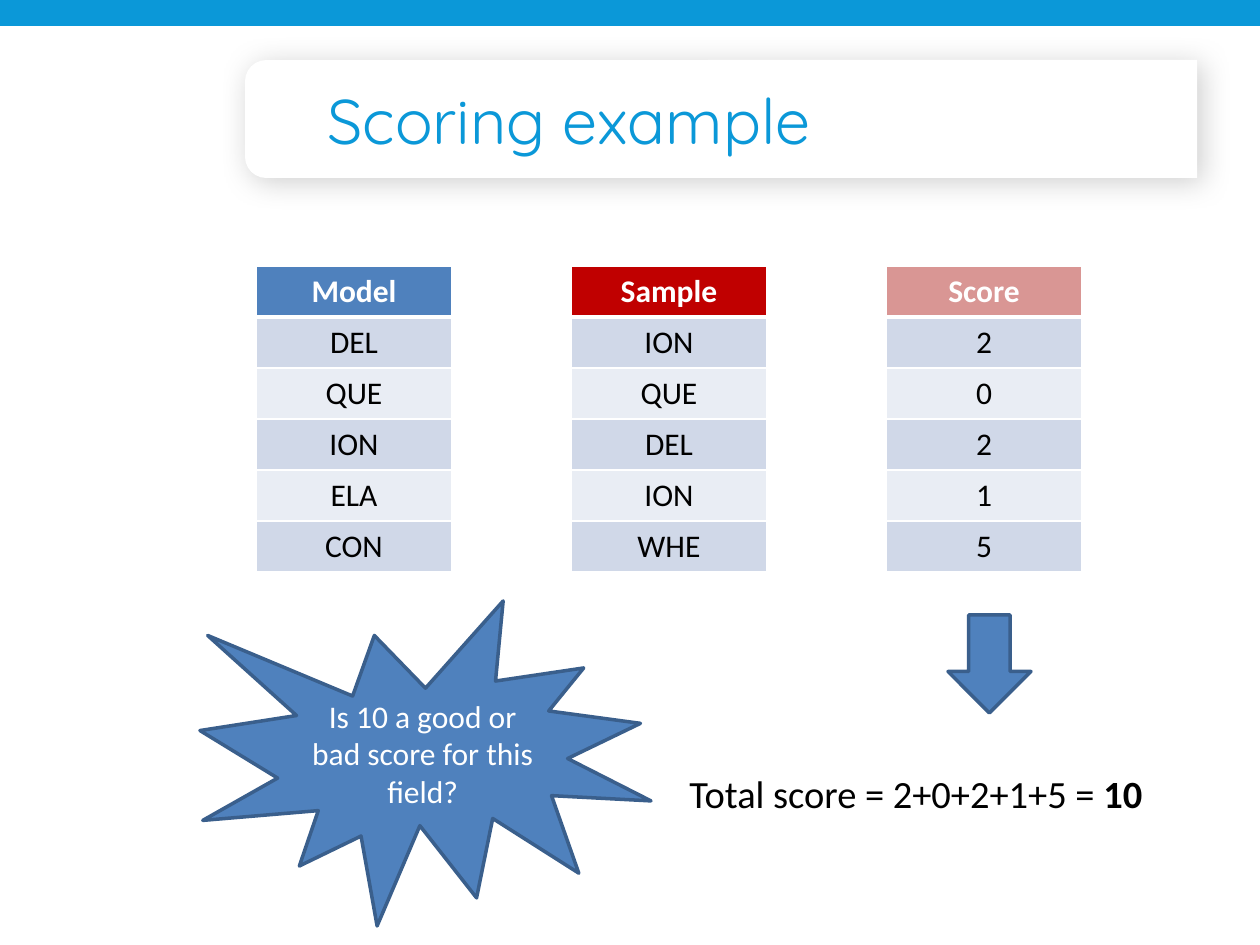
from lxml import etree
from pptx import Presentation, util as u
from pptx.dml.color import RGBColor
from pptx.enum import shapes, text
from pptx.oxml.ns import qn

SCALE = 914400 / 126
WHITE, BLACK = "FFFFFF", "000000"
SKY, BLUE, EDGE = "0B98D8", "4F81BD", "3A5F8C"
BANDS = ("D0D8E8", "E9EDF4")
ROW, COL, GAP = 51, 196, 315
LISTS = [
    ("Model", BLUE, ["DEL", "QUE", "ION", "ELA", "CON"]),
    ("Sample", "C00000", ["ION", "QUE", "DEL", "ION", "WHE"]),
    ("Score", "D99694", ["2", "0", "2", "1", "5"]),
]
KIND = shapes.MSO_SHAPE
CENTER = text.PP_ALIGN.CENTER
MIDDLE = text.MSO_ANCHOR.MIDDLE


def px(*vals):
    return [u.Emu(round(v * SCALE)) for v in vals]


def paint(fill, color):
    fill.solid()
    fill.fore_color.rgb = RGBColor.from_string(color)


def style(para, size, color, bold=False, face="Calibri", align=None):
    para.alignment = align
    for run in para.runs:
        font = run.font
        font.name, font.size, font.bold = face, u.Pt(size), bold
        font.color.rgb = RGBColor.from_string(color)


def add_shape(slide, kind, box, fill, line=None):
    shape = slide.shapes.add_shape(kind, *px(*box))
    shape.shadow.inherit = False
    paint(shape.fill, fill)
    if line:
        paint(shape.line.fill, line)
        shape.line.width = u.Pt(2)
    else:
        shape.line.fill.background()
    return shape


def add_text(slide, box, wrap=True):
    frame = slide.shapes.add_textbox(*px(*box)).text_frame
    frame.word_wrap = wrap
    frame.vertical_anchor = MIDDLE
    return frame


def add_glow(shape):
    """Give the shape a soft outer shadow."""
    effects = shape._element.spPr.find(qn("a:effectLst"))
    shadow = etree.SubElement(
        effects, qn("a:outerShdw"), blurRad=str(u.Pt(17)),
        dist=str(u.Pt(3)), dir=str(45 * 60000), algn="tl", rotWithShape="0")
    color = etree.SubElement(shadow, qn("a:srgbClr"), val=BLACK)
    etree.SubElement(color, qn("a:alpha"), val="19000")


def add_edges(cell, base):
    """Draw white borders, with the bottom one base points wide."""
    props = cell._tc.get_or_add_tcPr()
    for side, width in (("L", 1), ("R", 1), ("T", 1), ("B", base)):
        line = etree.SubElement(props, qn("a:ln" + side), w=str(u.Pt(width)))
        fill = etree.SubElement(line, qn("a:solidFill"))
        etree.SubElement(fill, qn("a:srgbClr"), val=WHITE)


def add_list(slide, left, head, tint, items):
    """Add a table of one column with a tinted head."""
    rows = [head] + items
    box = px(left, 266, COL, ROW * len(rows))
    table = slide.shapes.add_table(len(rows), 1, *box).table
    for i, word in enumerate(rows):
        top = i == 0
        cell = table.cell(i, 0)
        cell.text_frame.text = word
        style(cell.text_frame.paragraphs[0], 18, WHITE if top else BLACK,
              top, align=CENTER)
        add_edges(cell, 3 if top else 1)
        paint(cell.fill, tint if top else BANDS[(i - 1) % 2])


def add_title(slide):
    banner = add_shape(slide, KIND.ROUND_2_SAME_RECTANGLE,
                       (662, -357, 118, 952), WHITE)
    banner.rotation = 270
    banner.adjustments[0] = 0.18
    add_glow(banner)
    add_shape(slide, KIND.RECTANGLE, (0, 0, 1260, 26), SKY)
    frame = add_text(slide, (315, 60, 882, 118))
    frame.text = "Scoring example"
    style(frame.paragraphs[0], 36, SKY, face="Quicksand")


def add_total(slide):
    add_shape(slide, KIND.DOWN_ARROW, (948, 615, 83, 98), BLUE, EDGE)
    para = add_text(slide, (677, 764, 484, 59), wrap=False).paragraphs[0]
    para.text = "Total score = 2+0+2+1+5 = "
    total = para.add_run()
    total.text = "10"
    style(para, 22, BLACK)
    total.font.bold = True


def add_burst(slide):
    burst = add_shape(slide, KIND.EXPLOSION1, (200, 601, 451, 325), BLUE, EDGE)
    frame = burst.text_frame
    frame.word_wrap = True
    frame.vertical_anchor = MIDDLE
    frame.text = "Is 10 a good or bad score for this field?"
    style(frame.paragraphs[0], 18, WHITE, align=CENTER)


def main():
    deck = Presentation()
    deck.slide_width, deck.slide_height = px(1260, 945)
    slide = deck.slides.add_slide(deck.slide_layouts[6])
    add_title(slide)
    for i, (head, tint, items) in enumerate(LISTS):
        add_list(slide, 256 + i * GAP, head, tint, items)
    add_total(slide)
    add_burst(slide)
    deck.save("out.pptx")


if __name__ == "__main__":
    main()
